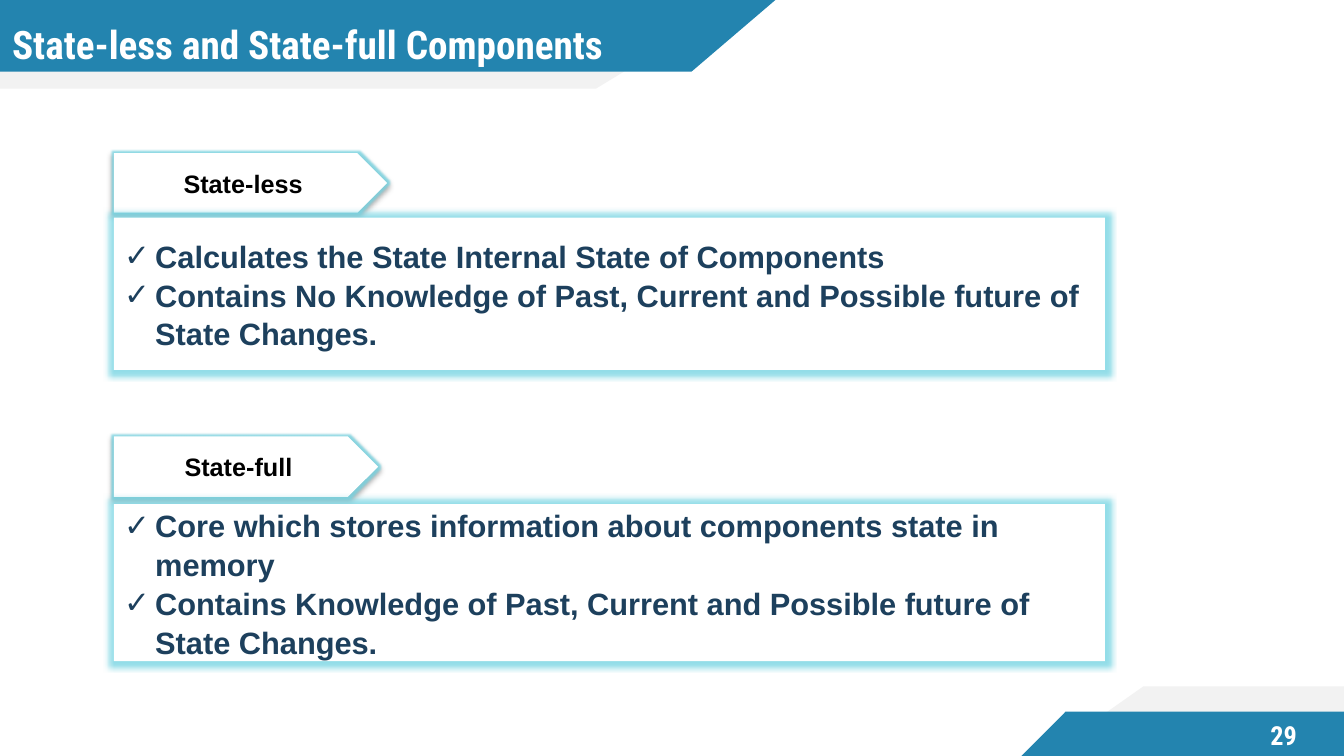
from lxml import etree
from pptx import Presentation
from pptx.dml.color import RGBColor
from pptx.enum.shapes import MSO_SHAPE
from pptx.enum.text import MSO_ANCHOR, MSO_AUTO_SIZE, PP_ALIGN
from pptx.oxml import parse_xml
from pptx.oxml.ns import qn
from pptx.util import Inches, Pt

WHITE = RGBColor(0xFF, 0xFF, 0xFF)
BLACK = RGBColor(0x00, 0x00, 0x00)
GREY = RGBColor(0xF2, 0xF2, 0xF2)
BLUE = RGBColor(0x23, 0x84, 0xAF)
NAVY = RGBColor(0x1D, 0x40, 0x5D)
CYAN = RGBColor(0x78, 0xD5, 0xE3)
LEFT, CENTER = PP_ALIGN.LEFT, PP_ALIGN.CENTER
MIDDLE = MSO_ANCHOR.MIDDLE
NO_FIT = MSO_AUTO_SIZE.NONE
PENTAGON = MSO_SHAPE.PENTAGON
DRAWING_NS = "http://schemas.openxmlformats.org/drawingml/2006/main"
HEADING_FONT = "Roboto Condensed"
BODY_FONT = "Arial"
SHADOW_XML = (
    f'<a:outerShdw xmlns:a="{DRAWING_NS}" blurRad="44450" dist="27940" dir="5400000">'
    '<a:srgbClr val="000000"><a:alpha val="32000"/></a:srgbClr></a:outerShdw>'
)


def write_text(shape, lines, font=BODY_FONT, size=18, color=BLACK, align=CENTER,
               insets=(0.1, 0.05, 0.1, 0.05), spacing=1.0, bullet=None):
    frame = shape.text_frame
    frame.word_wrap = True
    frame.auto_size = NO_FIT
    frame.vertical_anchor = MIDDLE
    (frame.margin_left, frame.margin_top,
     frame.margin_right, frame.margin_bottom) = map(Inches, insets)
    frame.text = "\n".join(lines)
    for paragraph in frame.paragraphs:
        paragraph.alignment = align
        paragraph.line_spacing = spacing
        paragraph.space_before = Pt(0)
        run_font = paragraph.runs[0].font
        run_font.name, run_font.size, run_font.bold = font, Pt(size), True
        run_font.color.rgb = color
        if bullet:
            properties = paragraph._p.get_or_add_pPr()
            properties.set("marL", str(Inches(0.31)))
            properties.set("indent", str(-Inches(0.31)))
            etree.SubElement(properties, qn("a:buFont"), typeface=font)
            etree.SubElement(properties, qn("a:buChar"), char=bullet)


def style_panel(shape, glow):
    shape.fill.solid()
    shape.fill.fore_color.rgb = WHITE
    shape.line.fill.background()
    shape.shadow.inherit = False
    effects = shape._element.spPr.find(qn("a:effectLst"))
    effects.append(parse_xml(
        f'<a:glow xmlns:a="{DRAWING_NS}" rad="{Pt(glow)}"><a:srgbClr val="{CYAN}">'
        '<a:alpha val="80000"/></a:srgbClr></a:glow>'))
    return effects


prs = Presentation()
prs.slide_width = Inches(13.33)
prs.slide_height = Inches(7.5)
slide = prs.slides.add_slide(prs.slide_layouts[3])
tree = slide.shapes._spTree
title, *lists = slide.placeholders

ribbons = [
    (GREY, [(0, 0), (7.36, 0), (5.91, 0.88), (0, 0.88)]),
    (BLUE, [(0, 0), (7.69, 0), (6.86, 0.71), (0, 0.71)]),
    (GREY, [(13.33, 6.81), (11.34, 6.81), (10.36, 7.5), (13.33, 7.5)]),
    (BLUE, [(13.33, 7.06), (10.57, 7.06), (10.13, 7.5), (13.33, 7.5)]),
]
for color, corners in ribbons:
    points = [(Inches(x), Inches(y)) for x, y in corners]
    outline = slide.shapes.build_freeform(*points[0])
    outline.add_line_segments(points[1:], close=True)
    ribbon = outline.convert_to_shape()
    ribbon.fill.solid()
    ribbon.fill.fore_color.rgb = color
    ribbon.line.fill.background()
    ribbon.shadow.inherit = False

title.left, title.top, title.width, title.height = map(Inches, (0, 0.12, 7.36, 0.62))
write_text(title, ["State-less and State-full Components"], font=HEADING_FONT,
           size=28, color=WHITE, align=LEFT, insets=(0.12, 0, 0, 0))
tree.append(title._element)

page_number = slide.shapes.add_textbox(Inches(12.29), Inches(7.07), Inches(0.88), Inches(0.45))
write_text(page_number, ["29"], font=HEADING_FONT, size=18.7, color=WHITE,
           insets=(0.1, 0.1, 0.1, 0.1))

sections = [
    ("State-less", 1.52, 2.71, 0.59, 2.16, 1.51, [
        "Calculates the State Internal State of Components",
        "Contains No Knowledge of Past, Current and Possible future of State Changes.",
    ]),
    ("State-full", 4.33, 2.62, 0.6, 5, 1.56, [
        "Core which stores information about components state in memory",
        "Contains Knowledge of Past, Current and Possible future of State Changes.",
    ]),
]
for facts, section in zip(lists, sections):
    heading, tag_top, tag_width, tag_height, facts_top, facts_height, lines = section
    tag = slide.shapes.add_shape(PENTAGON, Inches(1.13), Inches(tag_top),
                                 Inches(tag_width), Inches(tag_height))
    style_panel(tag, glow=3).append(parse_xml(SHADOW_XML))
    write_text(tag, [heading])

    facts.left, facts.top = Inches(1.13), Inches(facts_top)
    facts.width, facts.height = Inches(9.83), Inches(facts_height)
    style_panel(facts, glow=8)
    write_text(facts, lines, size=22, color=NAVY, align=LEFT, spacing=1.05, bullet="✓")
    tree.append(facts._element)

prs.save("out.pptx")
